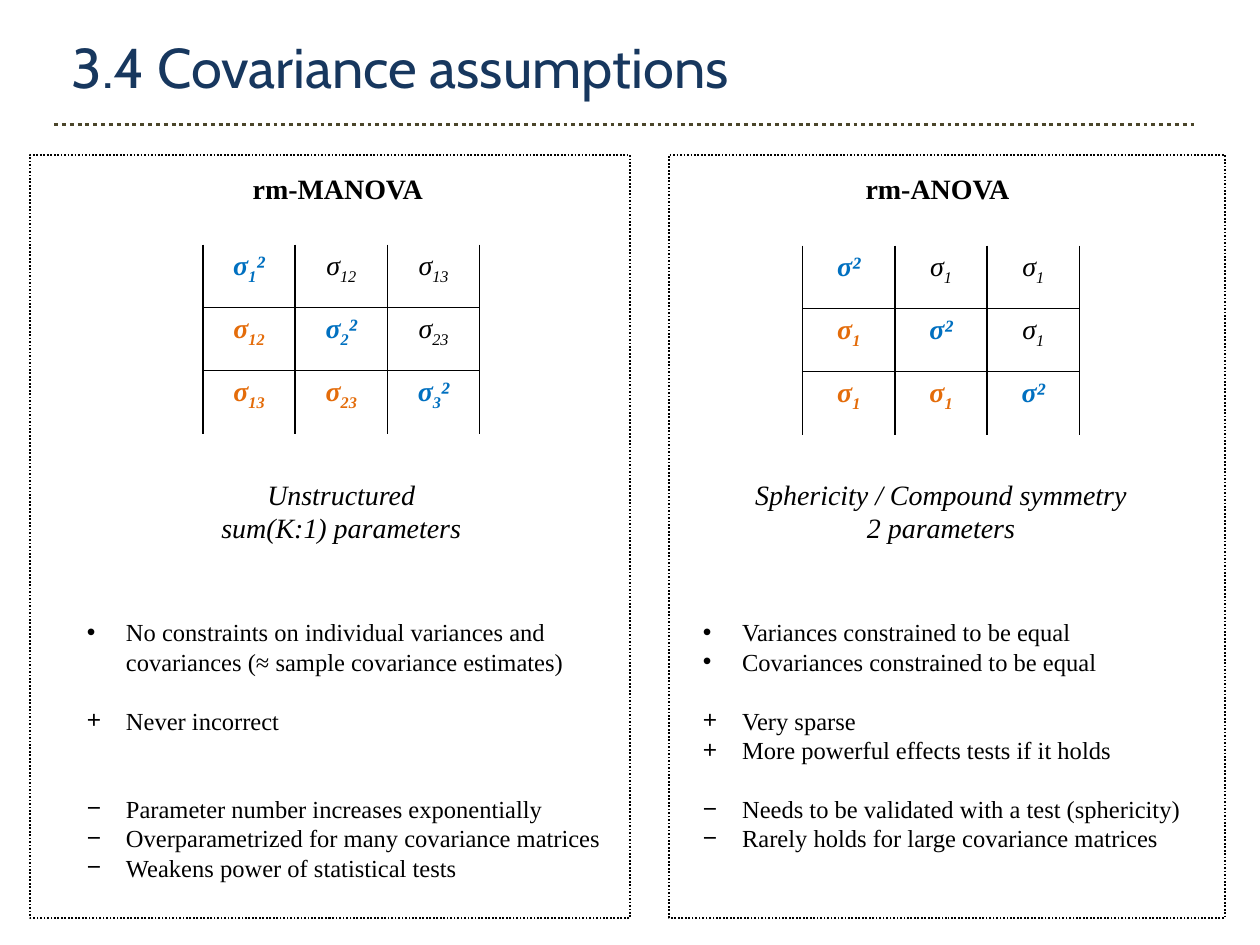
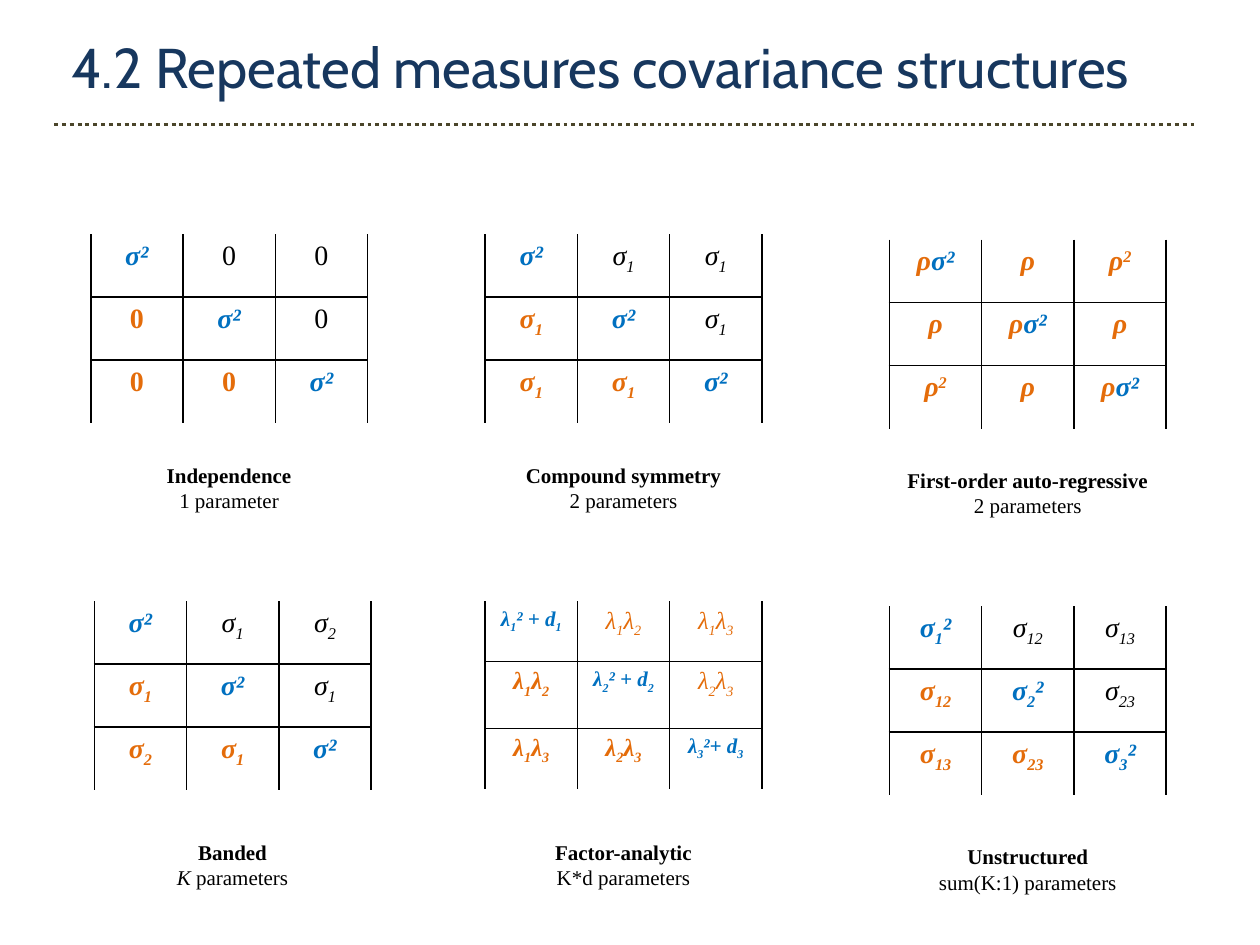
import pptx
import pptx.util
import pptx.dml.color
import pptx.enum.dml
import pptx.enum.shapes
import pptx.enum.text
from lxml import etree

Cm, Pt = pptx.util.Cm, pptx.util.Pt
RGB = pptx.dml.color.RGBColor.from_string
DOT = pptx.enum.dml.MSO_LINE.ROUND_DOT
MID = pptx.enum.text.PP_ALIGN.CENTER
NS = "http://schemas.openxmlformats.org/drawingml/2006/main"
PLAIN = "{2D5ABB26-0587-4C30-8999-92F81FD0307C}"  # table style without lines

INK = {"title": "17375E", "rule": "4A452A", "text": "000000",
       "diag": "0070C0", "low": "E46C0A"}
SERIF, HEAD = "Times New Roman", "Cabin"
SIDE, ROW = 5.58, 1.27

# Cells are split by ";", runs by "|"; "_" lowers a run and "^" raises it.
MATS = {
    "indep": ["σ²;0;0", "0;σ²;0", "0;0;σ²"],
    "comp": ["σ²;σ|_1;σ|_1", "σ|_1;σ²;σ|_1", "σ|_1;σ|_1;σ²"],
    "auto": ["ρ|σ²;ρ;ρ|^2", "ρ;ρ|σ²;ρ", "ρ|^2;ρ;ρ|σ²"],
    "band": ["σ²;σ|_1;σ|_2", "σ|_1;σ²;σ|_1", "σ|_2;σ|_1;σ²"],
    "factor": ["λ|_1|² + d|_1;λ|_1|λ|_2;λ|_1|λ|_3",
               "λ|_1|λ|_2;λ|_2|² + d|_2;λ|_2|λ|_3",
               "λ|_1|λ|_3;λ|_2|λ|_3;λ|_3|²+ d|_3"],
    "free": ["σ|_1|²;σ|_12;σ|_13", "σ|_12;σ|_2|²;σ|_23",
             "σ|_13;σ|_23;σ|_3|²"],
}


def write(slide, box, lines, size, face=SERIF, ink="text", align=MID):
    """Add a text box; each line is a list of (text, flags), flags b and i."""
    frame = slide.shapes.add_textbox(*map(Cm, box)).text_frame
    frame.word_wrap = True
    for n, line in enumerate(lines):
        para = frame.add_paragraph() if n else frame.paragraphs[0]
        para.alignment = align
        if face == SERIF:
            para.line_spacing = Pt(size * 1.2)
        for words, flags in line:
            run = para.add_run()
            run.text = words
            run.font.name, run.font.size = face, Pt(size)
            run.font.bold, run.font.italic = "b" in flags, "i" in flags
            run.font.color.rgb = RGB(INK[ink])
    return frame


def matrix(slide, name, x, y):
    """Draw a covariance matrix, coloured by place relative to the diagonal."""
    table = slide.shapes.add_table(3, 3, Cm(x), Cm(y), Cm(SIDE), Cm(3 * ROW)).table
    table.first_row = table.horz_banding = False
    table._tbl.tblPr[0].text = PLAIN
    for r, row in enumerate(MATS[name]):
        table.columns[r].width = Cm(SIDE / 3)
        high = (1.22, 1.35, 1.22)[r] if name == "factor" else ROW
        table.rows[r].height = Cm(high)
        for c, parts in enumerate(row.split(";")):
            cell = table.cell(r, c)
            cell.fill.background()
            props = cell._tc.get_or_add_tcPr()
            edges = ["lnL", "lnR"] + ["lnT"] * (r > 0) + ["lnB"] * (r < 2)
            for n, edge in enumerate(edges):
                line = etree.Element(f"{{{NS}}}{edge}", w=str(Pt(0.96)))
                solid = etree.SubElement(line, f"{{{NS}}}solidFill")
                etree.SubElement(solid, f"{{{NS}}}srgbClr", val=INK["text"])
                props.insert(n, line)
            para = cell.text_frame.paragraphs[0]
            para.alignment = MID
            ink = "diag" if r == c else "low" if r > c or name == "factor" else "text"
            size = 16 if name != "factor" else 12 if r == c else 14
            for part in parts.split("|"):
                run = para.add_run()
                run.text = part.lstrip("_^")
                font = run.font
                font.name, font.size = SERIF, Pt(size)
                font.bold = r >= c or name == "auto"
                font.italic = part != "0"
                if name == "auto":
                    ink = "diag" if part == "σ²" else "low"
                font.color.rgb = RGB(INK[ink])
                shift = {"_": "-25000", "^": "30000"}.get(part[0])
                if shift:
                    font._element.set("baseline", shift)


deck = pptx.Presentation()
deck.slide_width, deck.slide_height = Cm(25.4), Cm(19.05)
pages = []
for name in ("3.4 Covariance assumptions", "4.2 Repeated measures covariance structures"):
    page = deck.slides.add_slide(deck.slide_layouts[6])
    write(page, (1.19, 0.53, 22.7, 1.6), [[(name, "")]], 32, HEAD, "title", None)
    rule = page.shapes.add_connector(
        pptx.enum.shapes.MSO_CONNECTOR.STRAIGHT, Cm(1.09), Cm(2.51), Cm(24.1), Cm(2.51))
    rule.line.color.rgb = RGB(INK["rule"])
    rule.line.width, rule.line.dash_style = Pt(2.25), DOT
    etree.SubElement(rule._element.spPr, f"{{{NS}}}effectLst")
    pages.append(page)

# Two models side by side; a list item is (bullet, text, blank lines above)
models = [
    ("rm-MANOVA", "free", "Unstructured", "sum(K:1) parameters",
     (0.61, 12.09), (4.09, 4.93), (1.5, 11), [
         ("•", "No constraints on individual variances and covariances "
               "(≈ sample covariance estimates)", 0),
         ("+", "Never incorrect", 1),
         ("−", "Parameter number increases exponentially", 2),
         ("−", "Overparametrized for many covariance matrices", 0),
         ("−", "Weakens power of statistical tests", 0)]),
    ("rm-ANOVA", "comp", "Sphericity / Compound symmetry", "2 parameters",
     (13.49, 11.2), (16.18, 4.95), (13.92, 10.7), [
         ("•", "Variances constrained to be equal", 0),
         ("•", "Covariances constrained to be equal", 0),
         ("+", "Very sparse", 1),
         ("+", "More powerful effects tests if it holds", 0),
         ("−", "Needs to be validated with a test (sphericity)", 1),
         ("−", "Rarely holds for large covariance matrices", 0)]),
]
page = pages[0]
for name, kind, form, count, (left, wide), (x, y), (start, span), points in models:
    panel = page.shapes.add_shape(pptx.enum.shapes.MSO_SHAPE.RECTANGLE,
                                  Cm(left), Cm(3.12), Cm(wide), Cm(15.39))
    panel.shadow.inherit = False
    panel.fill.background()
    panel.line.color.rgb = RGB(INK["text"])
    panel.line.width, panel.line.dash_style = Pt(1), DOT
    matrix(page, kind, x, y)
    mid = x + SIDE / 2
    write(page, (mid - 4.57, 3.33, 9, 0.91), [[(name, "b")]], 16)
    write(page, (mid - 4.5, 9.5, 9, 1.6), [[(form, "i")], [(count, "i")]], 16)
    frame = write(page, (start, 12.32, span, 5.6),
                  [[(words, "")] for mark, words, gap in points], 14, align=None)
    for para, (mark, words, gap) in zip(frame.paragraphs, points):
        props = para._p.get_or_add_pPr()
        props.set("marL", str(Cm(0.79)))
        props.set("indent", str(-Cm(0.79)))
        shade = etree.SubElement(props, f"{{{NS}}}buClr")
        etree.SubElement(shade, f"{{{NS}}}srgbClr", val=INK["text"])
        etree.SubElement(props, f"{{{NS}}}buFont", typeface="Arial")
        etree.SubElement(props, f"{{{NS}}}buChar", char=mark)
        if gap:
            para.space_before = Pt(gap * 14 * 1.2)

# Six structures, each with a caption below; the last column sits lower
kinds = [
    ("indep", 1.83, 4.72, "Independence", [("1 parameter", "")]),
    ("comp", 9.78, 4.72, "Compound symmetry", [("2 parameters", "")]),
    ("auto", 17.93, 4.83, "First-order auto-regressive", [("2 parameters", "")]),
    ("band", 1.9, 12.12, "Banded", [("K", "i"), (" parameters", "")]),
    ("factor", 9.78, 12.12, "Factor-analytic", [("K*d parameters", "")]),
    ("free", 17.93, 12.22, "Unstructured", [("sum(K:1) parameters", "")]),
]
for n, (kind, x, y, name, count) in enumerate(kinds):
    matrix(pages[1], kind, x, y)
    drop = 4.47 if n < 3 else 4.67
    write(pages[1], (x, y + drop, SIDE, 1.27), [[(name, "b")], count], 12)

deck.save("out.pptx")
